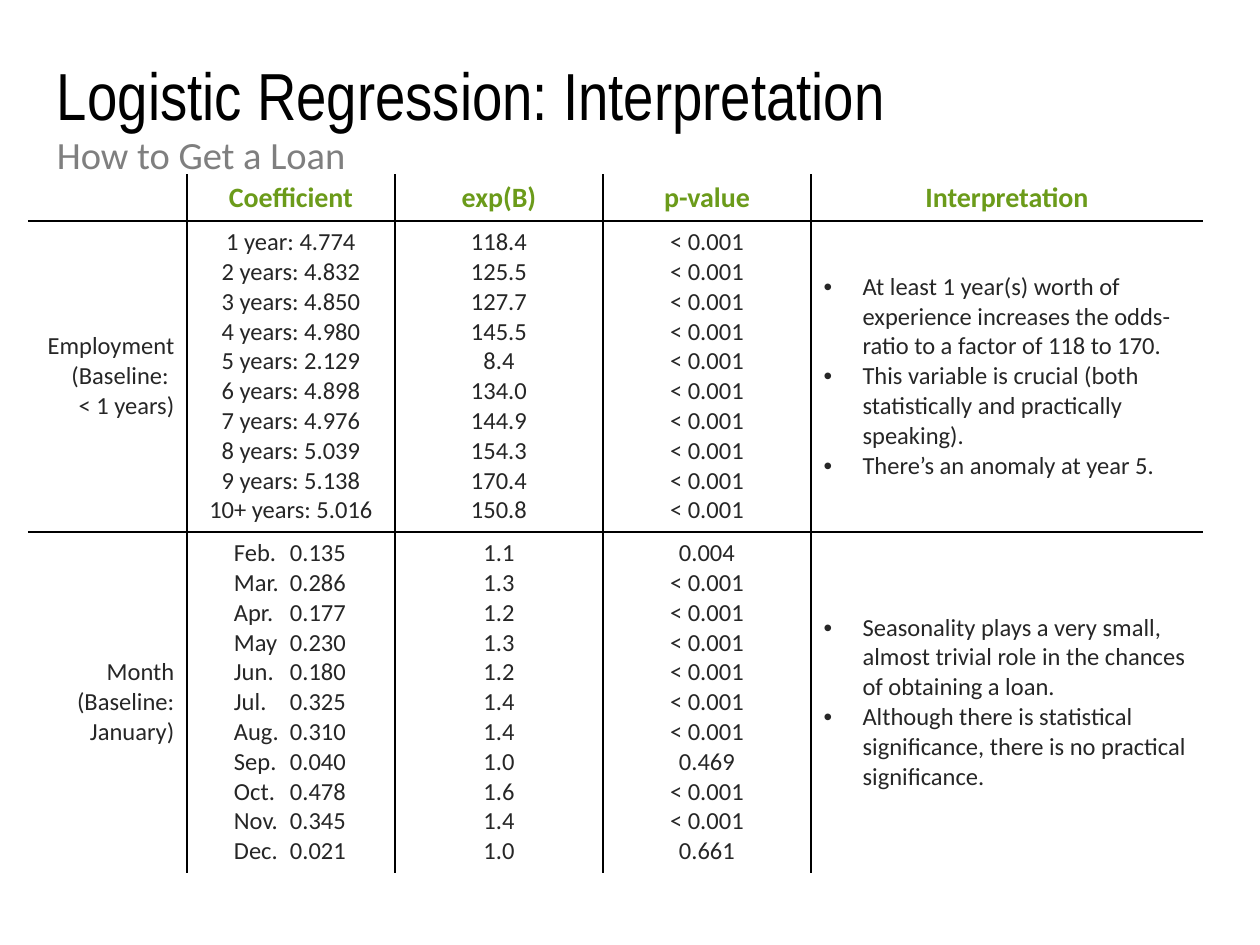
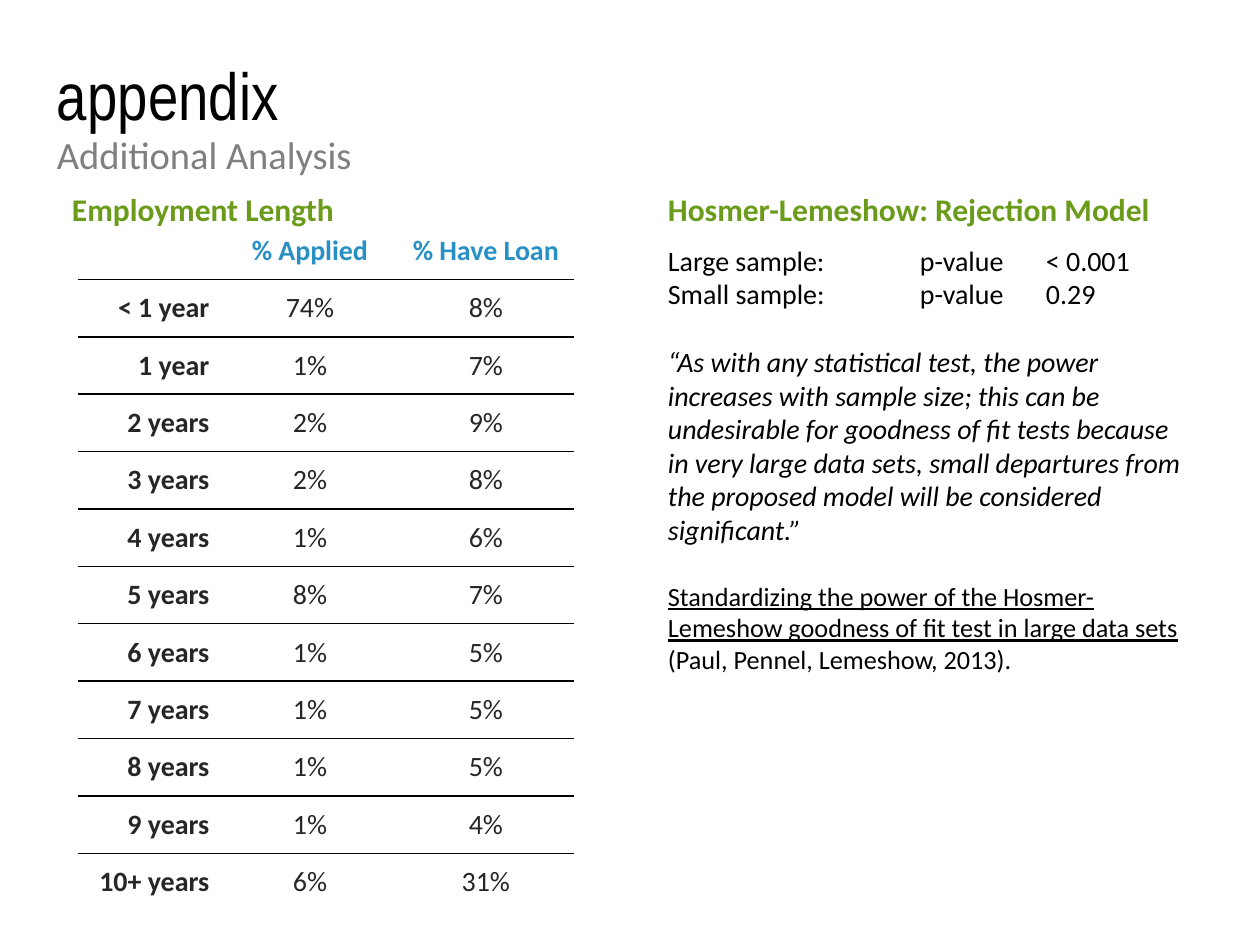
"""Build two loan-analysis slides: regression interpretation and appendix."""
from lxml.etree import SubElement
from pptx import Presentation
from pptx.dml.color import RGBColor
from pptx.enum.text import MSO_ANCHOR as Anchor, MSO_AUTO_SIZE as AutoSize, PP_ALIGN as Align
from pptx.oxml import parse_xml
from pptx.oxml.ns import nsdecls, qn
from pptx.util import Pt

SCALE = 914400 / 126
COLORS = {"black": "000000", "subtitle": "7F7F7F", "heading": "6B9B1A",
          "column": "2890C4", "cell": "262626"}
TITLE_FONT, BODY_FONT = "Arial Narrow", "Calibri"
PLAIN_TABLE = "{2D5ABB26-0587-4C30-8999-92F81FD0307C}"

SMALL_P = "< 0.001"
EMPLOYMENT = [
    ("1 year: 4.774", "118.4", SMALL_P), ("2 years: 4.832", "125.5", SMALL_P),
    ("3 years: 4.850", "127.7", SMALL_P), ("4 years: 4.980", "145.5", SMALL_P),
    ("5 years: 2.129", "8.4", SMALL_P), ("6 years: 4.898", "134.0", SMALL_P),
    ("7 years: 4.976", "144.9", SMALL_P), ("8 years: 5.039", "154.3", SMALL_P),
    ("9 years: 5.138", "170.4", SMALL_P), ("10+ years: 5.016", "150.8", SMALL_P),
]
MONTHS = [
    ("Feb.\t0.135", "1.1", "0.004"), ("Mar.\t0.286", "1.3", SMALL_P),
    ("Apr.\t0.177", "1.2", SMALL_P), ("May\t0.230", "1.3", SMALL_P),
    ("Jun.\t0.180", "1.2", SMALL_P), ("Jul.\t0.325", "1.4", SMALL_P),
    ("Aug.\t0.310", "1.4", SMALL_P), ("Sep.\t0.040", "1.0", "0.469"),
    ("Oct.\t0.478", "1.6", SMALL_P), ("Nov.\t0.345", "1.4", SMALL_P),
    ("Dec.\t0.021", "1.0", "0.661"),
]
VARIABLES = [
    ("Employment (Baseline: \n< 1 years)", EMPLOYMENT,
     "At least 1 year(s) worth of experience increases the odds-ratio to a factor of 118 to 170.\n"
     "This variable is crucial (both statistically and practically speaking).\n"
     "There’s an anomaly at year 5."),
    ("Month\n(Baseline: January)", MONTHS,
     "Seasonality plays a very small, almost trivial role in the chances of obtaining a loan.\n"
     "Although there is statistical significance, there is no practical significance."),
]
LOAN_SHARES = [
    ("< 1 year", "74%", "8%"), ("1 year", "1%", "7%"), ("2 years", "2%", "9%"),
    ("3 years", "2%", "8%"), ("4 years", "1%", "6%"), ("5 years", "8%", "7%"),
    ("6 years", "1%", "5%"), ("7 years", "1%", "5%"), ("8 years", "1%", "5%"),
    ("9 years", "1%", "4%"), ("10+ years", "6%", "31%"),
]
QUOTE = ("“As with any statistical test, the power increases with sample size; this can be "
         "undesirable for goodness of fit tests because in very large data sets, small departures "
         "from the proposed model will be considered significant.”")
CITED_PAPER = ("Standardizing the power of the Hosmer-Lemeshow goodness of fit test "
               "in large data sets ")


def px(length):
    """Turn pixels into EMU."""
    return round(length * SCALE)


def format_paragraph(paragraph, size, color, font=BODY_FONT, bold=False, italic=False,
                     align=Align.LEFT):
    """Format a paragraph and all its runs."""
    paragraph.alignment = align
    for run in paragraph.runs:
        run.font.size, run.font.name = Pt(size), font
        run.font.bold, run.font.italic = bold, italic
        run.font.color.rgb = RGBColor.from_string(COLORS[color])
    if not paragraph.runs:
        SubElement(paragraph._p, qn("a:endParaRPr"), sz=str(size * 100))


def add_tabs(paragraph, *stops):
    """Set left tab stops on a paragraph."""
    tab_list = SubElement(paragraph._p.get_or_add_pPr(), qn("a:tabLst"))
    for stop in stops:
        SubElement(tab_list, qn("a:tab"), pos=str(px(stop)), algn="l")


def add_bullet(paragraph):
    """Give a paragraph a hanging round bullet."""
    properties = paragraph._p.get_or_add_pPr()
    properties.set("marL", str(px(39)))
    properties.set("indent", str(px(-39)))
    SubElement(properties, qn("a:buFont"), typeface="Arial")
    SubElement(properties, qn("a:buChar"), char="•")


def place_frame(shape, left, top, width, height, inset):
    """Place a text shape and set up its frame."""
    shape.left, shape.top, shape.width, shape.height = map(px, (left, top, width, height))
    frame = shape.text_frame
    frame.word_wrap, frame.auto_size = True, AutoSize.NONE
    frame.vertical_anchor = Anchor.TOP
    frame.margin_left = px(inset)
    return frame


def add_text(slide, text, box, inset, size, color, bold=False, line_spacing=1.0):
    """Add a text box with uniformly formatted paragraphs."""
    frame = place_frame(slide.shapes.add_textbox(0, 0, 0, 0), *box, inset)
    frame.text = text
    for paragraph in frame.paragraphs:
        format_paragraph(paragraph, size, color, bold=bold)
        paragraph.line_spacing = line_spacing
    return frame


def add_titled_slide(deck, title, subtitle):
    """Add a slide with the shared title and subtitle style."""
    slide = deck.slides.add_slide(deck.slide_layouts[5])
    heading = place_frame(slide.shapes.title, 57, 57, 1147, 147, 0)
    heading.text = title
    format_paragraph(heading.paragraphs[0], 38, "black", TITLE_FONT)
    heading.paragraphs[0].line_spacing = 0.9
    add_text(slide, subtitle, (57, 130, 1147, 74), 0, 22, "subtitle", line_spacing=0.9)
    return slide


def add_section_heading(slide, text, left, width):
    """Add a green section heading."""
    add_text(slide, text, (left, 188, width, 89), 28, 18, "heading", True, 0.9)


def set_borders(cell, visible_sides):
    """Draw black hairlines on the named sides of a cell and none elsewhere."""
    for index, side in enumerate("LRTB"):
        paint = (f'<a:solidFill><a:srgbClr val="{COLORS["black"]}"/></a:solidFill>'
                 if side in visible_sides else "<a:noFill/>")
        line = parse_xml(f'<a:ln{side} {nsdecls("a")} w="12700">{paint}</a:ln{side}>')
        cell._tc.get_or_add_tcPr().insert(index, line)


def add_grid(slide, left, top, widths, heights, column_rules):
    """Add an unfilled table ruled between rows and optionally between columns."""
    table = slide.shapes.add_table(len(heights), len(widths), px(left), px(top),
                                   px(sum(widths)), px(sum(heights))).table
    table.first_row = table.horz_banding = False
    table._tbl.tblPr.find(qn("a:tableStyleId")).text = PLAIN_TABLE
    for column, width in zip(table.columns, widths):
        column.width = px(width)
    for row, height in zip(table.rows, heights):
        row.height = px(height)
    last_row, last_column = len(heights) - 1, len(widths) - 1
    for r in range(len(heights)):
        for c in range(len(widths)):
            inner = {"L": column_rules and c > 0, "R": column_rules and c < last_column,
                     "T": r > 0, "B": r < last_row}
            cell = table.cell(r, c)
            cell.fill.background()
            set_borders(cell, [side for side, shown in inner.items() if shown])
    return table


def fill_cell(cell, text, size, color, bold=False, align=Align.CENTER, anchor=Anchor.MIDDLE):
    """Write and format the text of a table cell."""
    cell.text_frame.text = text
    cell.vertical_anchor = anchor
    for paragraph in cell.text_frame.paragraphs:
        format_paragraph(paragraph, size, color, bold=bold, align=align)


def add_coefficient_table(slide):
    """Add the table of coefficients and their interpretation."""
    table = add_grid(slide, 28, 174, [159, 208, 208, 208, 392], [47, 310, 341], True)
    for c, name in enumerate(["", "Coefficient", "exp(B)", "p-value", "Interpretation"]):
        fill_cell(table.cell(0, c), name, 16, "heading", True, anchor=Anchor.BOTTOM)
    for r, (variable, estimates, interpretation) in enumerate(VARIABLES, 1):
        fill_cell(table.cell(r, 0), variable, 14, "cell", align=Align.RIGHT)
        for c, values in enumerate(zip(*estimates), 1):
            fill_cell(table.cell(r, c), "\n".join(values), 14, "cell")
        fill_cell(table.cell(r, 4), interpretation, 14, "cell", align=Align.LEFT)
        for paragraph in table.cell(r, 4).text_frame.paragraphs:
            add_bullet(paragraph)
    month_cell = table.cell(2, 1)
    month_cell.margin_left = px(47)
    for paragraph in month_cell.text_frame.paragraphs:
        paragraph.alignment = Align.LEFT
        add_tabs(paragraph, 56)


def add_loan_share_table(slide):
    """Add the table of loan shares by employment length."""
    row_count = len(LOAN_SHARES) + 1
    table = add_grid(slide, 78, 222, [144, 176, 176], [689 / row_count] * row_count, False)
    for c, name in enumerate(["", "% Applied", "% Have Loan"]):
        fill_cell(table.cell(0, c), name, 16, "column", True)
    for r, (tenure, *shares) in enumerate(LOAN_SHARES, 1):
        fill_cell(table.cell(r, 0), tenure, 16, "cell", True, Align.RIGHT)
        for c, share in enumerate(shares, 1):
            fill_cell(table.cell(r, c), share, 16, "cell")


def add_test_notes(slide):
    """Add the goodness-of-fit results, the quote and its citation."""
    notes = add_text(slide, "Large sample:\tp-value\t< 0.001\nSmall sample:\tp-value \t0.29",
                     (640, 237, 553, 481), 28, 16, "black")
    for result in notes.paragraphs:
        add_tabs(result, 252, 378)
    quote, citation = notes.add_paragraph(), notes.add_paragraph()
    quote.text = QUOTE
    format_paragraph(quote, 16, "black", italic=True)
    citation.text = CITED_PAPER
    citation.add_run().text = "(Paul, Pennel, Lemeshow, 2013)."
    format_paragraph(citation, 15, "black")
    citation.runs[0].font.underline = True
    quote.space_before = citation.space_before = Pt(19.5)


def main():
    """Build and save the deck."""
    deck = Presentation()
    deck.slide_width, deck.slide_height = px(1260), px(945)

    interpretation = add_titled_slide(deck, "Logistic Regression: Interpretation",
                                      "How to Get a Loan")
    add_coefficient_table(interpretation)

    appendix = add_titled_slide(deck, "appendix", "Additional Analysis")
    add_loan_share_table(appendix)
    add_test_notes(appendix)
    add_section_heading(appendix, "Employment Length", 44, 396)
    add_section_heading(appendix, "Hosmer-Lemeshow: Rejection Model", 640, 544)

    deck.save("out.pptx")


if __name__ == "__main__":
    main()
